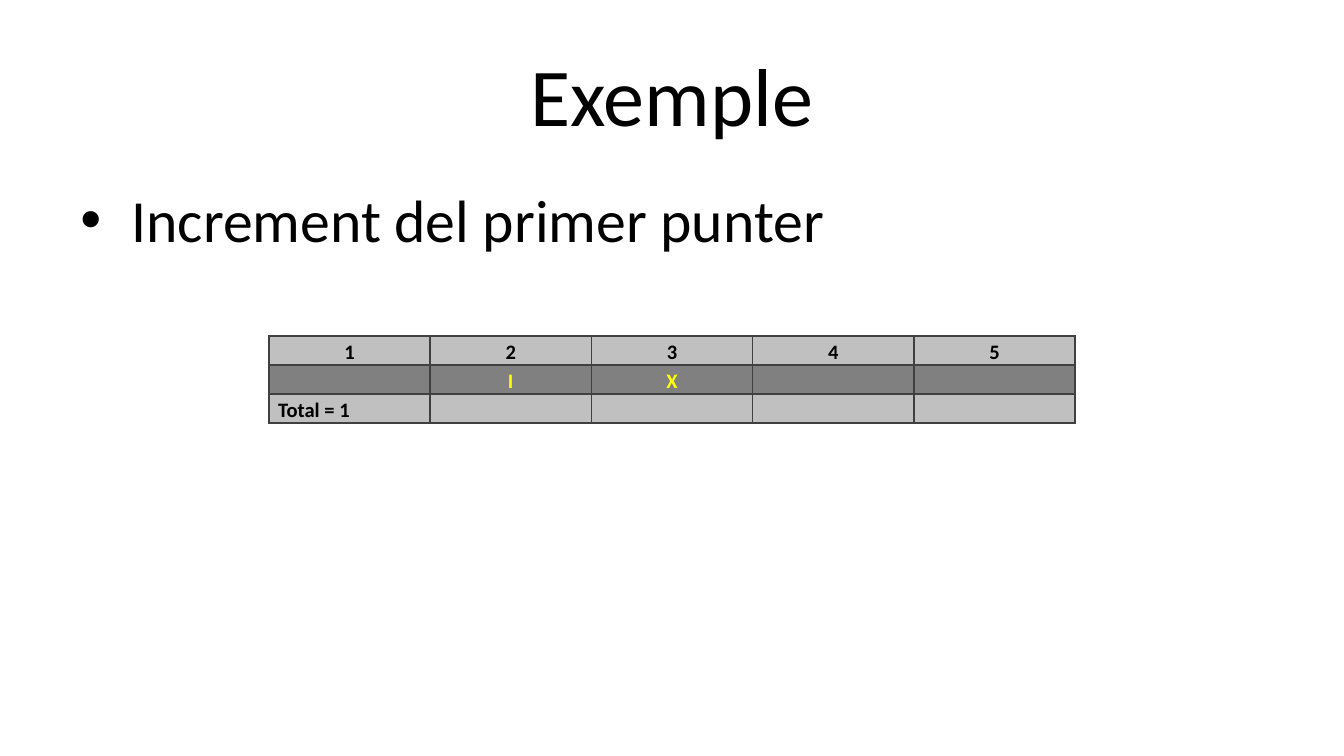
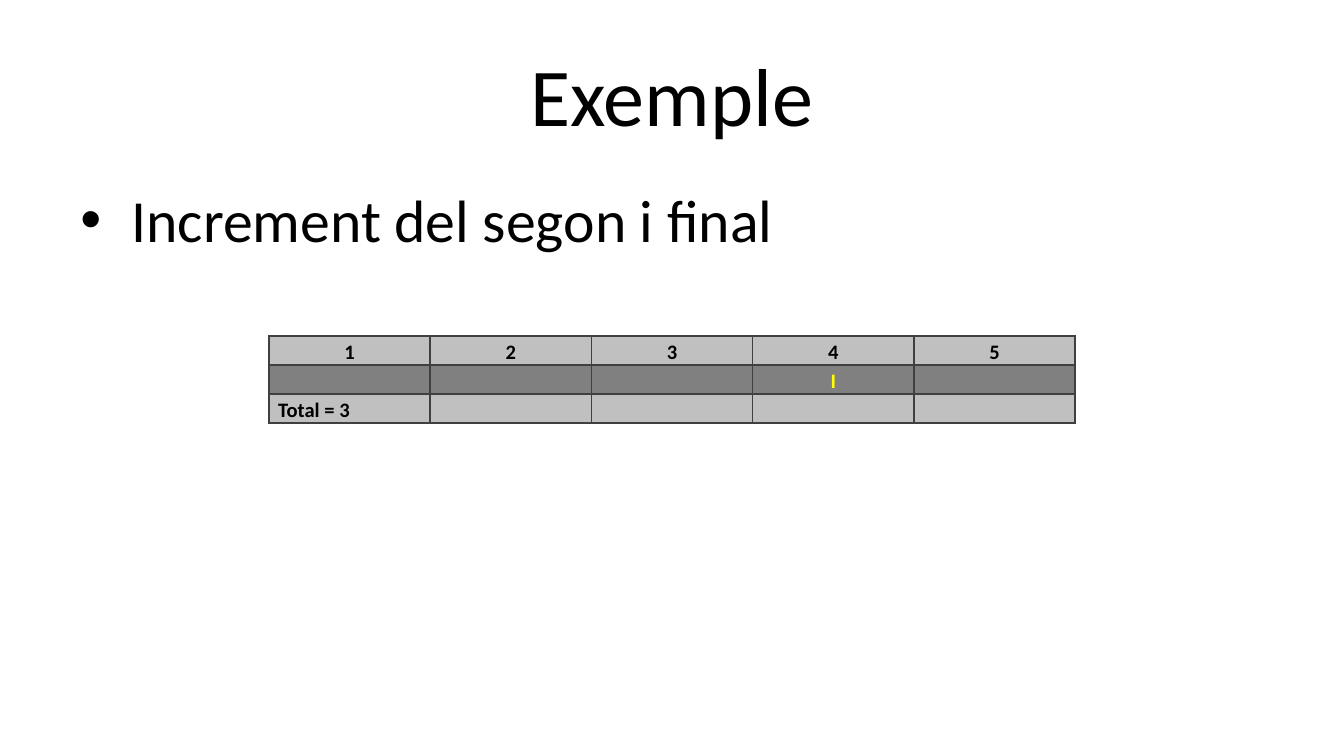
from dataclasses import dataclass

from lxml.etree import SubElement
from pptx import Presentation
from pptx.dml.color import RGBColor
from pptx.enum.text import MSO_ANCHOR, MSO_AUTO_SIZE, PP_ALIGN
from pptx.oxml.ns import qn
from pptx.util import Inches, Pt


@dataclass(frozen=True)
class Theme:
    font: str = "Calibri"
    ink: str = "000000"
    paper: str = "FFFFFF"
    marker: str = "FFFF00"
    light_row: str = "C0C0C0"
    dark_row: str = "808080"
    border: str = "404040"
    title_size: int = 44
    body_size: int = 32
    cell_size: int = 11


THEME = Theme()


def write_text(frame, text, *, size, color=THEME.ink, bold=False,
               align=PP_ALIGN.LEFT, line_spacing=None, bullet=None, hang=0.38):
    """Fill a text frame with one formatted paragraph."""
    paragraph = frame.paragraphs[0]
    paragraph.alignment = align
    if line_spacing:
        paragraph.line_spacing = line_spacing
    if bullet:
        properties = paragraph._p.get_or_add_pPr()
        properties.set("marL", str(Inches(hang)))
        properties.set("indent", str(-Inches(hang)))
        SubElement(properties, qn("a:buFont"), typeface="Arial")
        SubElement(properties, qn("a:buChar"), char=bullet)
    if not text:
        # Empty cells keep the type size, and so the row height
        SubElement(paragraph._p, qn("a:endParaRPr"), sz=str(size * 100))
        return
    run = paragraph.add_run()
    run.text = text
    run.font.name = THEME.font
    run.font.size = Pt(size)
    run.font.bold = bold
    run.font.color.rgb = RGBColor.from_string(color)


class Deck:
    def __init__(self, theme):
        self.theme = theme
        self.presentation = Presentation()
        # Widescreen, 16:9
        self.presentation.slide_width = Inches(10)
        self.presentation.slide_height = Inches(10 * 9 / 16)
        self.slide = None

    def add_slide(self, title):
        layout = self.presentation.slide_layouts.get_by_name("Title Only")
        self.slide = self.presentation.slides.add_slide(layout)
        background = self.slide.background.fill
        background.solid()
        background.fore_color.rgb = RGBColor.from_string(self.theme.paper)
        heading = self.slide.shapes.title
        heading.left, heading.top = Inches(0.5), Inches(0.23)
        heading.width, heading.height = Inches(9), Inches(0.94)
        heading.text_frame.auto_size = MSO_AUTO_SIZE.NONE
        heading.text_frame.vertical_anchor = MSO_ANCHOR.MIDDLE
        write_text(heading.text_frame, title, size=self.theme.title_size,
                   align=PP_ALIGN.CENTER)

    def add_bullet(self, text):
        body = self.slide.shapes.add_textbox(
            Inches(0.5), Inches(1.31), Inches(9), Inches(3.71))
        body.text_frame.word_wrap = True
        write_text(body.text_frame, text, size=self.theme.body_size, bullet="•")

    def add_border(self, cell):
        properties = cell._tc.get_or_add_tcPr()
        for side in ("lnL", "lnR", "lnT", "lnB"):
            line = SubElement(properties, qn(f"a:{side}"), w=str(Pt(1)))
            fill = SubElement(line, qn("a:solidFill"))
            SubElement(fill, qn("a:srgbClr"), val=self.theme.border)

    def add_cell(self, cell, text, fill, color, align):
        cell.margin_left = cell.margin_right = Inches(0.07)
        cell.margin_top = cell.margin_bottom = 0
        self.add_border(cell)
        cell.fill.solid()
        cell.fill.fore_color.rgb = RGBColor.from_string(fill)
        write_text(cell.text_frame, text, size=self.theme.cell_size, color=color,
                   bold=True, align=align, line_spacing=1.15)

    def add_pointer_table(self, pointers, total, positions=5):
        """Draw the position numbers, the pointers by position and the total."""
        theme = self.theme
        numbers = range(1, positions + 1)
        rows = [
            ([str(n) for n in numbers], theme.light_row, theme.ink, PP_ALIGN.CENTER),
            ([pointers.get(n, "") for n in numbers], theme.dark_row, theme.marker,
             PP_ALIGN.CENTER),
            ([f"Total = {total}"] + [""] * (positions - 1), theme.light_row,
             theme.ink, PP_ALIGN.LEFT),
        ]
        table = self.slide.shapes.add_table(
            len(rows), positions, Inches(2), Inches(2.5), Inches(6), Inches(0.65)).table
        for r, (texts, fill, color, align) in enumerate(rows):
            for c, text in enumerate(texts):
                self.add_cell(table.cell(r, c), text, fill, color, align)


def main():
    deck = Deck(THEME)
    steps = [
        ("Increment del primer punter", {2: "I", 3: "X"}, 1),
        ("Increment del segon i final", {4: "I"}, 3),
    ]
    # One slide for each step of the example
    for step, pointers, total in steps:
        deck.add_slide("Exemple")
        deck.add_bullet(step)
        deck.add_pointer_table(pointers, total)
    deck.presentation.save("out.pptx")


if __name__ == "__main__":
    main()
